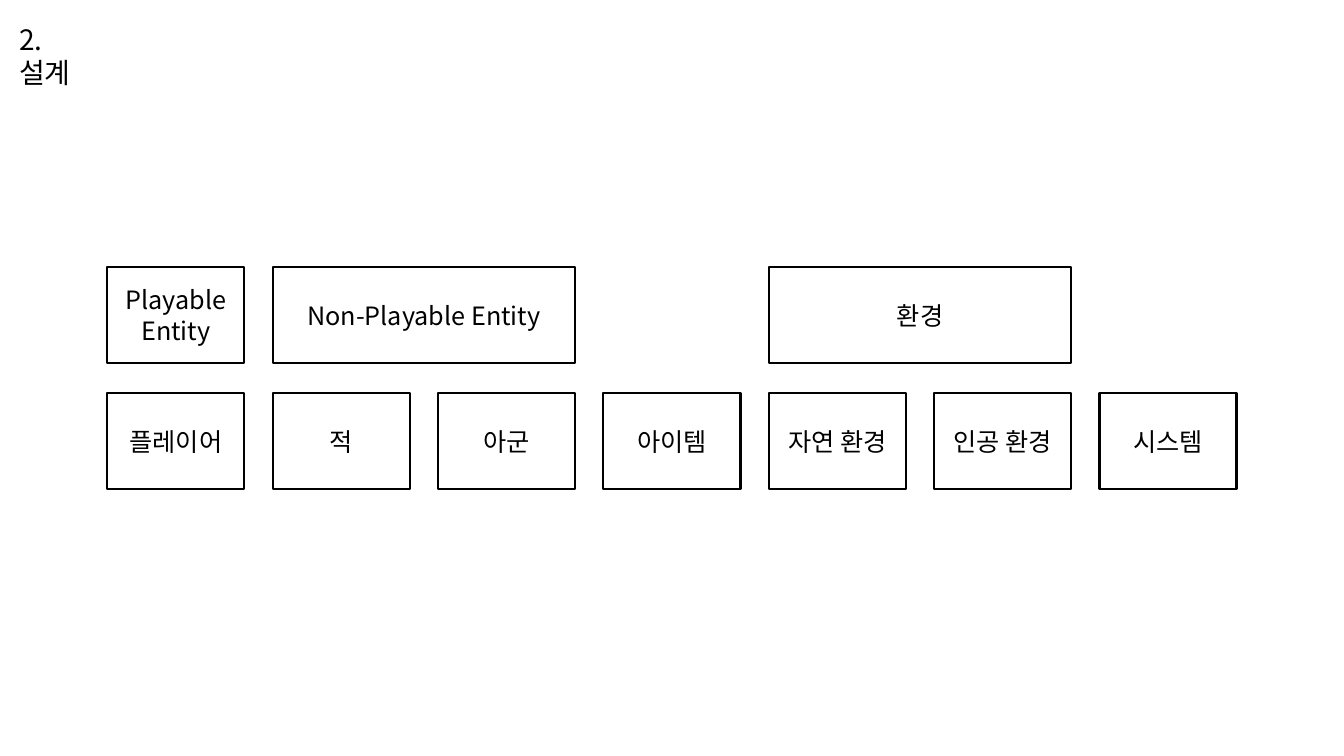
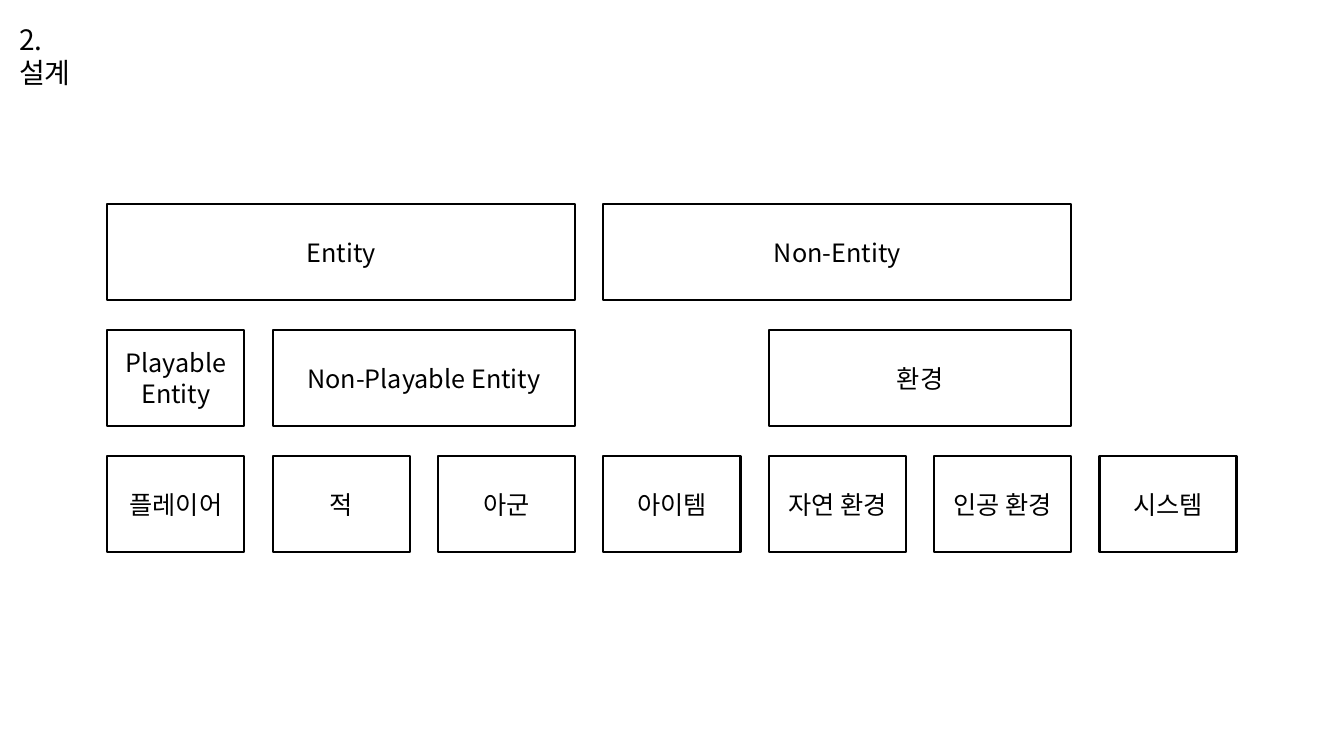
from pptx import Presentation
from pptx.dml.color import RGBColor
from pptx.enum.shapes import MSO_SHAPE
from pptx.enum.text import MSO_ANCHOR, MSO_AUTO_SIZE, PP_ALIGN
from pptx.oxml.ns import qn
from pptx.util import Emu, Pt
from lxml import etree

RECTANGLE = MSO_SHAPE.RECTANGLE
TOP, MIDDLE = MSO_ANCHOR.TOP, MSO_ANCHOR.MIDDLE
LEFT, CENTER = PP_ALIGN.LEFT, PP_ALIGN.CENTER
NO_FIT = MSO_AUTO_SIZE.NONE

BLACK = RGBColor(0x00, 0x00, 0x00)
WHITE = RGBColor(0xFF, 0xFF, 0xFF)
FONT = "Noto Sans CJK KR"

PAGE_WIDTH, PAGE_HEIGHT = 1333, 750
COLUMNS = 7
CELL_WIDTH, CELL_HEIGHT = 136, 96
COLUMN_GAP, ROW_GAP = 28, 29
TITLE = "2. 설계"
TITLE_BOX = (9, 17, 92, 80)

TOP_GROUPS = [(0, 3, "Entity"), (3, 3, "Non-Entity")]
MIDDLE_GROUPS = [
    (0, 1, "Playable\nEntity"),
    (1, 2, "Non-Playable Entity"),
    (4, 2, "환경"),
]
CLASSES = [
    (column, 1, name)
    for column, name in enumerate(
        ["플레이어", "적", "아군", "아이템", "자연 환경", "인공 환경", "시스템"]
    )
]
DIAGRAMS = [
    [MIDDLE_GROUPS, CLASSES],
    [TOP_GROUPS, MIDDLE_GROUPS, CLASSES],
]


def px(length):
    return Emu(round(length * 9144))


def extent(count, size, gap):
    return count * size + (count - 1) * gap


def write_text(shape, text, size=18, align=CENTER, anchor=MIDDLE):
    frame = shape.text_frame
    frame.text = text
    frame.word_wrap = True
    frame.auto_size = NO_FIT
    frame.vertical_anchor = anchor
    for para in frame.paragraphs:
        para.alignment = align
        para.line_spacing = 1.0
        for span in para.runs:
            span.font.size = Pt(size)
            span.font.color.rgb = BLACK
            span.font.name = FONT
            properties = span.font._element
            etree.SubElement(properties, qn("a:ea")).set("typeface", FONT)


def add_title(page, box):
    title = page.shapes.title
    title.left, title.top, title.width, title.height = map(px, box)
    write_text(title, TITLE, size=20, align=LEFT, anchor=TOP)


def add_cell(page, text, box):
    cell = page.shapes.add_shape(RECTANGLE, *map(px, box))
    cell.shadow.inherit = False
    cell.fill.solid()
    cell.fill.fore_color.rgb = WHITE
    cell.line.color.rgb = BLACK
    cell.line.width = Pt(1.5)
    write_text(cell, text)


def add_hierarchy(page, rows, box):
    left, top, width, height = box
    left += (width - extent(COLUMNS, CELL_WIDTH, COLUMN_GAP)) / 2
    top += (height - extent(len(rows), CELL_HEIGHT, ROW_GAP)) / 2
    for index, row in enumerate(rows):
        for column, columns, text in row:
            add_cell(page, text, (
                left + column * (CELL_WIDTH + COLUMN_GAP),
                top + index * (CELL_HEIGHT + ROW_GAP),
                extent(columns, CELL_WIDTH, COLUMN_GAP),
                CELL_HEIGHT,
            ))


def add_page(deck, rows):
    page = deck.slides.add_slide(deck.slide_layouts[5])
    page.background.fill.solid()
    page.background.fill.fore_color.rgb = WHITE
    add_title(page, TITLE_BOX)
    add_hierarchy(page, rows, (0, 0, PAGE_WIDTH, PAGE_HEIGHT))


def main():
    deck = Presentation()
    deck.slide_width, deck.slide_height = px(PAGE_WIDTH), px(PAGE_HEIGHT)
    for rows in DIAGRAMS:
        add_page(deck, rows)
    deck.save("out.pptx")


if __name__ == "__main__":
    main()
